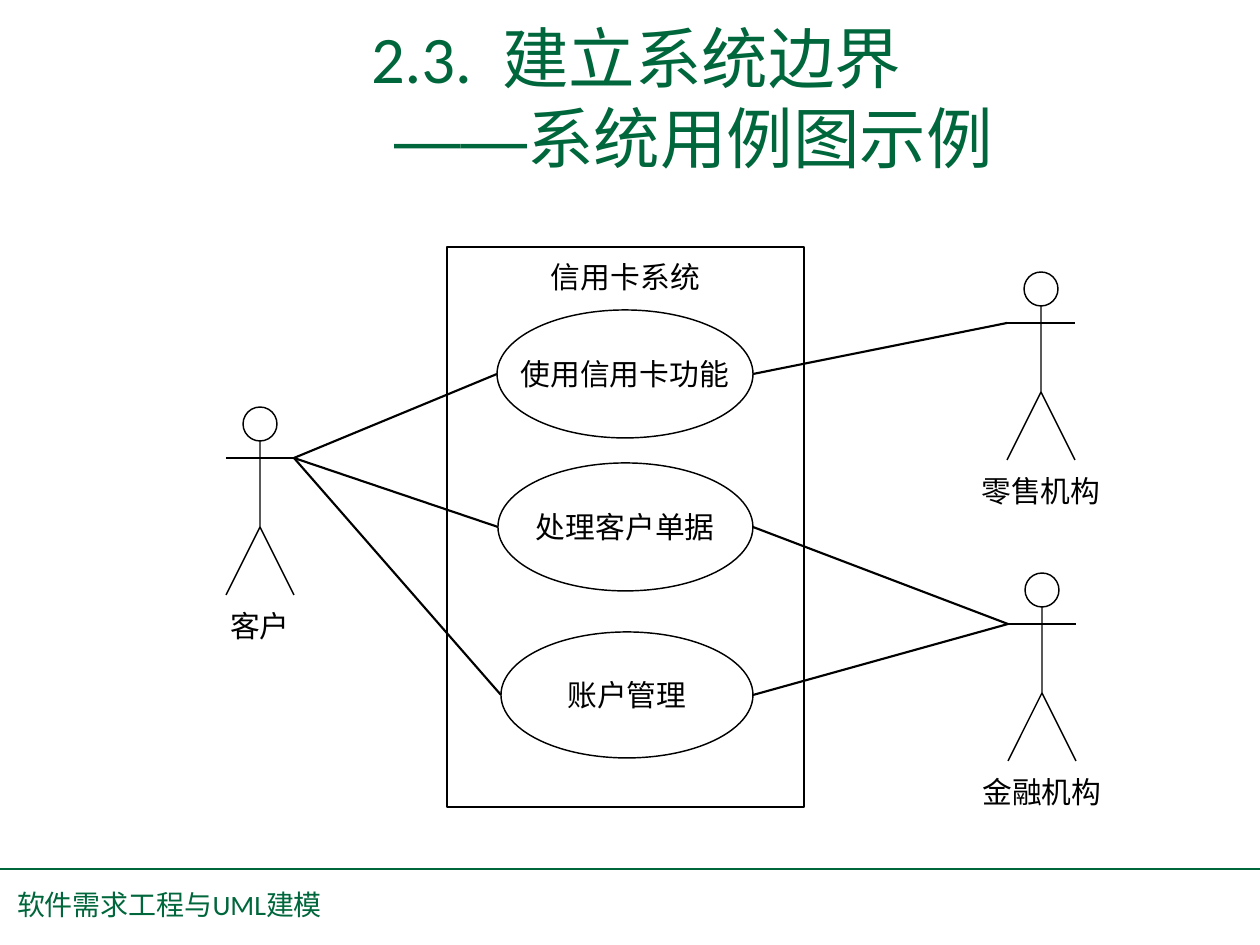
from lxml.etree import SubElement
from pptx import Presentation
from pptx.dml.color import RGBColor
from pptx.enum.shapes import MSO_CONNECTOR, MSO_SHAPE
from pptx.enum.text import MSO_ANCHOR, PP_ALIGN
from pptx.oxml.ns import qn
from pptx.util import Pt

PX = 914400 / 126
GREEN, BLACK = "00663B", "000000"
CJK, LATIN, DASH = "Noto Sans CJK SC", "Calibri", "Arial"
THIN, THICK = 0.82, 1.23

# (text, font, extra character spacing in points)
TITLE = [
    [("2.3.", LATIN, 0), (" ", LATIN, 8.6), ("建立系统边界", CJK, 0)],
    [("——", DASH, 0), ("系统用例图示例", CJK, 0)],
]
FOOTER = [[("软件需求工程与", CJK, 0), ("UML", LATIN, 0), ("建模", CJK, 0)]]

SYSTEM = ("信用卡系统", (447, 247, 357, 560))
USE_CASES = {
    "使用信用卡功能": (497, 310, 256, 128),
    "处理客户单据": (498, 463, 255, 128),
    "账户管理": (501, 632, 252, 126),
}
# name: (centre x, top of head)
ACTORS = {"客户": (260, 407), "零售机构": (1041, 272), "金融机构": (1042, 573)}
ASSOCIATIONS = [
    ("客户", "使用信用卡功能"),
    ("客户", "处理客户单据"),
    ("客户", "账户管理"),
    ("零售机构", "使用信用卡功能"),
    ("金融机构", "处理客户单据"),
    ("金融机构", "账户管理"),
]
# actor proportions, measured down from the top of the head
HEAD, ARMS, HIPS, FEET, LABEL = 34, 51, 120, 188, 198
REACH = 34


def px(*values):
    return [round(v * PX) for v in values]


def rgb(hex_colour):
    return RGBColor.from_string(hex_colour)


def set_face(font, props, face):
    """Set the Latin and the East Asian typeface."""
    font.name = face
    SubElement(props, qn("a:ea"), typeface=face)


def set_frame(sp, top=0, wrap=True, anchor=MSO_ANCHOR.TOP):
    tf = sp.text_frame
    tf.margin_left = tf.margin_right = tf.margin_bottom = 0
    tf.margin_top = px(top)[0]
    tf.word_wrap = wrap
    tf.vertical_anchor = anchor
    return tf


def add_label(tf, text):
    p = tf.paragraphs[0]
    p.text = text
    p.alignment = PP_ALIGN.CENTER
    p.font.size = Pt(17)
    p.font.color.rgb = rgb(BLACK)
    set_face(p.font, p._p.pPr.find(qn("a:defRPr")), CJK)


def add_mixed_text(slide, box, lines, size):
    tf = set_frame(slide.shapes.add_textbox(*px(*box)))
    for i, runs in enumerate(lines):
        p = tf.add_paragraph() if i else tf.paragraphs[0]
        p.font.size = Pt(size)
        p.font.color.rgb = rgb(GREEN)
        for text, face, spacing in runs:
            r = p.add_run()
            r.text = text
            r.font.size = Pt(size)
            r.font.color.rgb = rgb(GREEN)
            props = r._r.get_or_add_rPr()
            set_face(r.font, props, face)
            if spacing:
                props.set("spc", str(round(spacing * 100)))
    return tf


def outline(sp, width):
    sp.shadow.inherit = False
    sp.fill.background()
    sp.line.color.rgb = rgb(BLACK)
    sp.line.width = Pt(width)
    return sp


def add_outlined(slide, kind, box, width):
    return outline(slide.shapes.add_shape(kind, *px(*box)), width)


def add_line(slide, start, end, width, colour=BLACK):
    line = slide.shapes.add_connector(MSO_CONNECTOR.STRAIGHT, *px(*start, *end))
    line.line.color.rgb = rgb(colour)
    line.line.width = Pt(width)
    SubElement(line._element.spPr, qn("a:effectLst"))


def add_actor(slide, name, x, top):
    add_outlined(slide, MSO_SHAPE.OVAL, (x - HEAD / 2, top, HEAD, HEAD), THIN)
    add_line(slide, (x - REACH, top + ARMS), (x + REACH, top + ARMS), THIN)
    add_line(slide, (x, top + HIPS), (x + REACH, top + FEET), THIN)
    body = slide.shapes.build_freeform(x, top + HEAD, scale=PX)
    body.add_line_segments([(x, top + HIPS), (x - REACH, top + FEET)], close=False)
    outline(body.convert_to_shape(), THIN)
    label = slide.shapes.add_textbox(*px(x - 63, top + LABEL, 126, 39))
    add_label(set_frame(label, top=3), name)


def add_association(slide, actor, case):
    """Join the actor's nearer hand to the facing end of the use case."""
    x, top = ACTORS[actor]
    left, y, w, h = USE_CASES[case]
    if x < left:
        hand, end = x + REACH, left
    else:
        hand, end = x - REACH, left + w
    add_line(slide, (hand, top + ARMS), (end, y + h / 2), THICK)


def main():
    prs = Presentation()
    prs.slide_width, prs.slide_height = px(1260, 945)
    slide = prs.slides.add_slide(prs.slide_layouts[6])

    add_line(slide, (0, 869), (1260, 869), 1, GREEN)
    title = add_mixed_text(slide, (371, 17, 624, 164), TITLE, 38)
    title.paragraphs[1]._p.get_or_add_pPr().set("marL", str(px(23)[0]))

    name, box = SYSTEM
    boundary = add_outlined(slide, MSO_SHAPE.RECTANGLE, box, THICK)
    add_label(set_frame(boundary, top=12), name)
    for name, box in USE_CASES.items():
        case = add_outlined(slide, MSO_SHAPE.OVAL, box, THIN)
        add_label(set_frame(case, wrap=False, anchor=MSO_ANCHOR.MIDDLE), name)
    for name, (x, top) in ACTORS.items():
        add_actor(slide, name, x, top)
    for actor, case in ASSOCIATIONS:
        add_association(slide, actor, case)

    footer = add_mixed_text(slide, (17, 891, 309, 34), FOOTER, 16)
    footer.paragraphs[0].line_spacing = Pt(17)
    prs.save("out.pptx")


if __name__ == "__main__":
    main()
